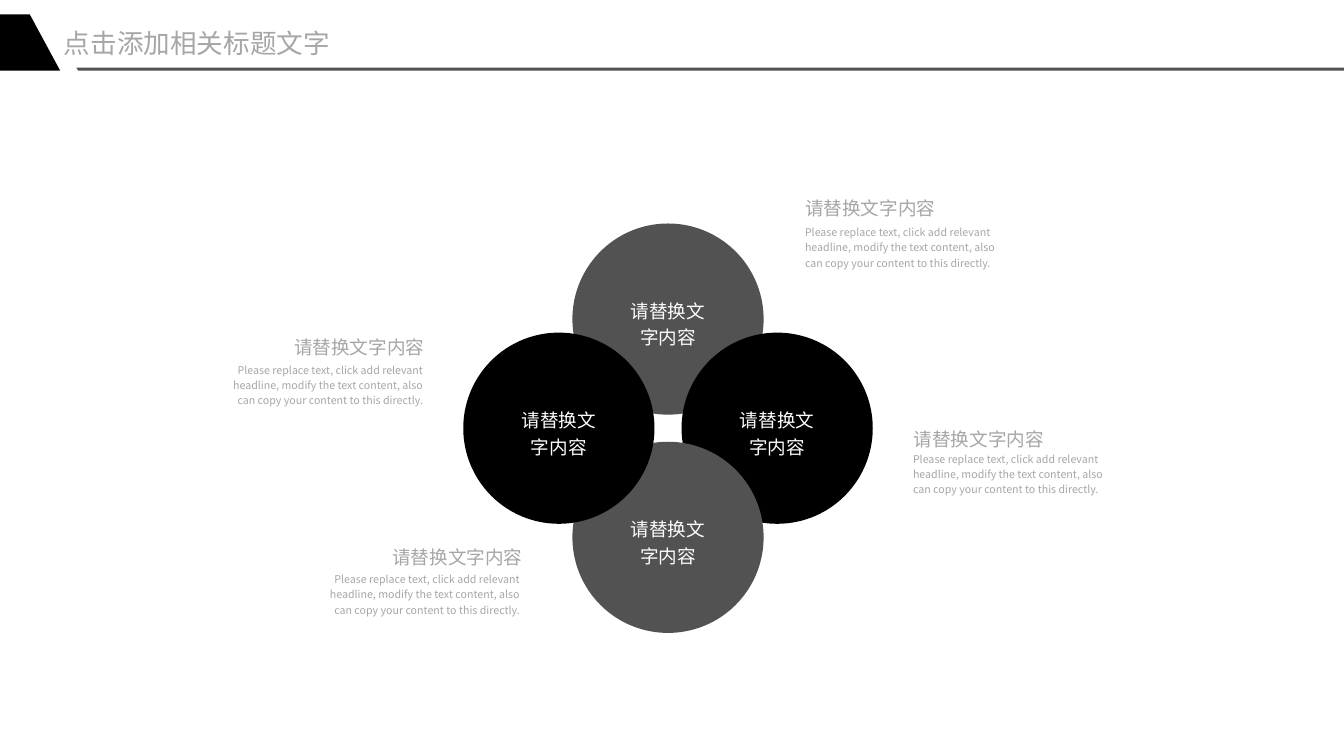
from dataclasses import dataclass

import lxml.etree
import pptx
import pptx.dml.color
import pptx.enum.shapes
import pptx.enum.text
import pptx.oxml.ns
import pptx.presentation
import pptx.shapes.base
import pptx.slide
import pptx.text.text
import pptx.util

Cm = pptx.util.Cm
RGBColor = pptx.dml.color.RGBColor
Align = pptx.enum.text.PP_ALIGN
Anchor = pptx.enum.text.MSO_ANCHOR

BLACK = RGBColor(0x00, 0x00, 0x00)
CHARCOAL = RGBColor(0x52, 0x52, 0x52)
SILVER = RGBColor(0xA6, 0xA6, 0xA6)
OFF_WHITE = RGBColor(0xFC, 0xFC, 0xFC)

CJK_FONT = "Noto Sans CJK SC"
SLIDE_WIDTH, SLIDE_HEIGHT = 35.71, 20.09
CLUSTER_X, CLUSTER_Y = 17.75, 11.38
PETAL_STEP, PETAL_DIAMETER = 2.9, 5.08

TITLE = "点击添加相关标题文字"
HEADING = "请替换文字内容"
DETAIL = (
    "Please replace text, click add relevant headline, modify the text "
    "content, also can copy your content to this directly."
)


@dataclass(frozen=True)
class Petal:
    step_x: int
    step_y: int
    color: RGBColor


@dataclass(frozen=True)
class Caption:
    heading_x: float
    heading_y: float
    detail_x: float
    detail_y: float
    align: Align


@dataclass(frozen=True)
class Band:
    corners: tuple[tuple[float, float], ...]
    color: RGBColor


PETALS = (
    Petal(0, -1, CHARCOAL),
    Petal(1, 0, BLACK),
    Petal(0, 1, CHARCOAL),
    Petal(-1, 0, BLACK),
)

CAPTIONS = (
    Caption(21.39, 5.11, 21.39, 5.94, Align.LEFT),
    Caption(24.28, 11.25, 24.26, 11.96, Align.LEFT),
    Caption(11.28, 8.81, 11.25, 9.6, Align.RIGHT),
    Caption(13.89, 14.4, 13.82, 15.16, Align.RIGHT),
)

BANDS = (
    Band(((2.03, 1.8), (SLIDE_WIDTH, 1.8), (SLIDE_WIDTH, 1.88), (2.08, 1.88)), CHARCOAL),
    Band(((0, 0.38), (0.79, 0.38), (1.6, 1.88), (0, 1.88)), BLACK),
)


def write_text(
    frame: pptx.text.text.TextFrame,
    text: str,
    *,
    size: float,
    color: RGBColor,
    font: str = CJK_FONT,
    align: Align = Align.LEFT,
    anchor: Anchor = Anchor.TOP,
    line_spacing: float = 1.2,
    side_margin: float = 0,
    top_margin: float = 0,
) -> None:
    frame.word_wrap = True
    frame.vertical_anchor = anchor
    frame.margin_left = frame.margin_right = Cm(side_margin)
    frame.margin_top, frame.margin_bottom = Cm(top_margin), 0
    paragraph = frame.paragraphs[0]
    paragraph.alignment = align
    paragraph.line_spacing = line_spacing
    run = paragraph.add_run()
    run.text = text
    run.font.name = font
    run.font.size = pptx.util.Pt(size)
    run.font.color.rgb = color
    east_asian = lxml.etree.SubElement(
        run.font._element, pptx.oxml.ns.qn("a:ea")
    )
    east_asian.set("typeface", CJK_FONT)


def add_text_frame(
    slide: pptx.slide.Slide, x: float, y: float, width: float, height: float
) -> pptx.text.text.TextFrame:
    return slide.shapes.add_textbox(Cm(x), Cm(y), Cm(width), Cm(height)).text_frame


def paint(shape: pptx.shapes.base.BaseShape, color: RGBColor) -> None:
    shape.shadow.inherit = False
    shape.fill.solid()
    shape.fill.fore_color.rgb = color
    shape.line.fill.background()


def draw_petal(slide: pptx.slide.Slide, petal: Petal) -> None:
    left = CLUSTER_X + petal.step_x * PETAL_STEP - PETAL_DIAMETER / 2
    top = CLUSTER_Y + petal.step_y * PETAL_STEP - PETAL_DIAMETER / 2
    circle = slide.shapes.add_shape(
        pptx.enum.shapes.MSO_SHAPE.OVAL,
        Cm(left), Cm(top), Cm(PETAL_DIAMETER), Cm(PETAL_DIAMETER),
    )
    paint(circle, petal.color)
    write_text(
        circle.text_frame, HEADING, size=14, color=OFF_WHITE,
        align=Align.CENTER, anchor=Anchor.MIDDLE,
        side_margin=0.59, top_margin=0.15,
    )


def draw_caption(slide: pptx.slide.Slide, caption: Caption) -> None:
    parts = (
        (HEADING, 14, caption.heading_x, caption.heading_y, 4.52, 0.71),
        (DETAIL, 8, caption.detail_x, caption.detail_y, 5.2, 1.22),
    )
    for text, size, edge, top, width, height in parts:
        left = edge - width if caption.align == Align.RIGHT else edge
        frame = add_text_frame(slide, left, top, width, height)
        write_text(frame, text, size=size, color=SILVER, align=caption.align)


def draw_band(slide: pptx.slide.Slide, band: Band) -> None:
    start, *others = [(Cm(x), Cm(y)) for x, y in band.corners]
    outline = slide.shapes.build_freeform(*start)
    outline.add_line_segments(others, close=True)
    paint(outline.convert_to_shape(), band.color)


def main() -> None:
    deck = pptx.Presentation()
    deck.slide_width, deck.slide_height = Cm(SLIDE_WIDTH), Cm(SLIDE_HEIGHT)
    slide = deck.slides.add_slide(deck.slide_layouts[6])
    for band in BANDS:
        draw_band(slide, band)
    title_frame = add_text_frame(slide, 1.7, 0.71, 8.51, 0.86)
    write_text(
        title_frame, TITLE, size=20, color=SILVER, font="Arial", line_spacing=1.0
    )
    for petal in PETALS:
        draw_petal(slide, petal)
    for caption in CAPTIONS:
        draw_caption(slide, caption)
    deck.save("out.pptx")


if __name__ == "__main__":
    main()
